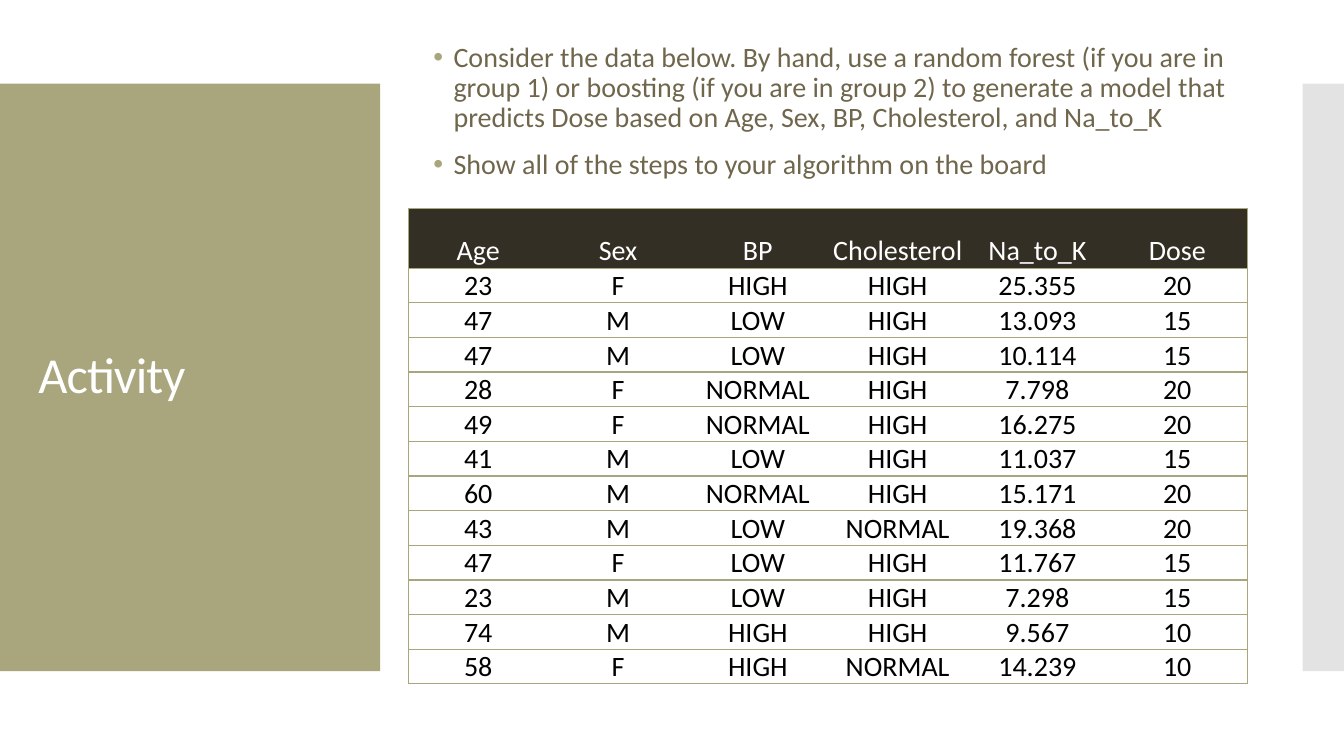
import pptx
import pptx.dml.color
import pptx.enum.shapes
import pptx.enum.text
import pptx.oxml.ns
import pptx.util
from lxml import etree

Inches = pptx.util.Inches
Pt = pptx.util.Pt
RGBColor = pptx.dml.color.RGBColor
qn = pptx.oxml.ns.qn

OLIVE = RGBColor(0xA9, 0xA5, 0x7C)
BROWN = RGBColor(0x6F, 0x66, 0x4C)
DARK = RGBColor(0x34, 0x2F, 0x24)
GRAY = RGBColor(0xC8, 0xC8, 0xC8)
WHITE = RGBColor(0xFF, 0xFF, 0xFF)
BLACK = RGBColor(0x00, 0x00, 0x00)

INSTRUCTIONS = [
    "Consider the data below. By hand, use a random forest (if you are in group 1) "
    "or boosting (if you are in group 2) to generate a model that predicts Dose "
    "based on Age, Sex, BP, Cholesterol, and Na_to_K",
    "Show all of the steps to your algorithm on the board",
]

PATIENTS = [
    ("Age", "Sex", "BP", "Cholesterol", "Na_to_K", "Dose"),
    ("23", "F", "HIGH", "HIGH", "25.355", "20"),
    ("47", "M", "LOW", "HIGH", "13.093", "15"),
    ("47", "M", "LOW", "HIGH", "10.114", "15"),
    ("28", "F", "NORMAL", "HIGH", "7.798", "20"),
    ("49", "F", "NORMAL", "HIGH", "16.275", "20"),
    ("41", "M", "LOW", "HIGH", "11.037", "15"),
    ("60", "M", "NORMAL", "HIGH", "15.171", "20"),
    ("43", "M", "LOW", "NORMAL", "19.368", "20"),
    ("47", "F", "LOW", "HIGH", "11.767", "15"),
    ("23", "M", "LOW", "HIGH", "7.298", "15"),
    ("74", "M", "HIGH", "HIGH", "9.567", "10"),
    ("58", "F", "HIGH", "NORMAL", "14.239", "10"),
]


class SlideBuilder:
    """Holds the text style and the current slide."""

    font_name = "Calibri"
    body_size = Pt(20)
    line_spacing = 0.9

    def __init__(self, slide):
        self.slide = slide

    def style(self, paragraph, size, color):
        paragraph.font.name = self.font_name
        paragraph.font.size = size
        paragraph.font.color.rgb = color

    def panel(self, left, top, width, height, color, opacity=100):
        """Add a plain rectangle behind the title."""
        shape = self.slide.shapes.add_shape(
            pptx.enum.shapes.MSO_SHAPE.RECTANGLE,
            Inches(left), Inches(top), Inches(width), Inches(height))
        shape.shadow.inherit = False
        shape.fill.solid()
        shape.fill.fore_color.rgb = color
        shape.line.fill.background()
        if opacity < 100:
            fill_color = shape.element.spPr.find(qn("a:solidFill"))[0]
            etree.SubElement(fill_color, qn("a:alpha"), val=str(opacity * 1000))
        self.slide.shapes.title.element.addprevious(shape.element)

    def title(self, text, left, top, width, height):
        title = self.slide.shapes.title
        title.left, title.top = Inches(left), Inches(top)
        title.width, title.height = Inches(width), Inches(height)
        title.text_frame.text = text
        title.text_frame.vertical_anchor = pptx.enum.text.MSO_ANCHOR.MIDDLE
        paragraph = title.text_frame.paragraphs[0]
        paragraph.alignment = pptx.enum.text.PP_ALIGN.LEFT
        paragraph.line_spacing = self.line_spacing
        self.style(paragraph, Pt(36), WHITE)
        paragraph.runs[0].font._element.set("spc", "-60")

    def bullets(self, items, left, top, width, height):
        box = self.slide.shapes.add_textbox(
            Inches(left), Inches(top), Inches(width), Inches(height))
        frame = box.text_frame
        frame.word_wrap = True
        for index, item in enumerate(items):
            paragraph = frame.add_paragraph() if index else frame.paragraphs[0]
            paragraph.text = item
            paragraph.line_spacing = self.line_spacing
            paragraph.space_before = Pt(12 if index else 0)
            properties = paragraph._p.get_or_add_pPr()
            properties.set("marL", str(Inches(0.2)))
            properties.set("indent", str(-Inches(0.2)))
            bullet_color = etree.SubElement(properties, qn("a:buClr"))
            etree.SubElement(bullet_color, qn("a:srgbClr"), val=str(OLIVE))
            etree.SubElement(properties, qn("a:buFont"), typeface="Arial")
            etree.SubElement(properties, qn("a:buChar"), char="•")
            self.style(paragraph, self.body_size, BROWN)

    def border(self, cell, side, visible):
        line = etree.SubElement(cell._tc.get_or_add_tcPr(), qn("a:ln" + side),
                                w=str(Pt(1)))
        if visible:
            fill = etree.SubElement(line, qn("a:solidFill"))
            etree.SubElement(fill, qn("a:srgbClr"), val=str(OLIVE))
        else:
            etree.SubElement(line, qn("a:noFill"))

    def table(self, rows, left, top, width, header_height, row_height):
        column_count = len(rows[0])
        height = header_height + row_height * (len(rows) - 1)
        table = self.slide.shapes.add_table(
            len(rows), column_count,
            Inches(left), Inches(top), Inches(width), Inches(height)).table
        table.first_row = False
        table.horz_banding = False
        for row_index, values in enumerate(rows):
            is_header = row_index == 0
            table.rows[row_index].height = Inches(
                header_height if is_header else row_height)
            for column_index, value in enumerate(values):
                cell = table.cell(row_index, column_index)
                cell.text = value
                cell.vertical_anchor = pptx.enum.text.MSO_ANCHOR.BOTTOM
                cell.margin_left = cell.margin_right = cell.margin_top = Inches(0.01)
                cell.margin_bottom = 0
                # Horizontal rules and an outer frame, no inner verticals
                self.border(cell, "L", column_index == 0)
                self.border(cell, "R", column_index == column_count - 1)
                self.border(cell, "T", True)
                self.border(cell, "B", True)
                cell.fill.solid()
                cell.fill.fore_color.rgb = DARK if is_header else WHITE
                paragraph = cell.text_frame.paragraphs[0]
                paragraph.alignment = pptx.enum.text.PP_ALIGN.CENTER
                self.style(paragraph, self.body_size, WHITE if is_header else BLACK)


def main():
    presentation = pptx.Presentation()
    presentation.slide_width = Inches(13.33)
    presentation.slide_height = Inches(7.5)
    title_only = presentation.slide_layouts[5]
    builder = SlideBuilder(presentation.slides.add_slide(title_only))

    # Side panels
    builder.panel(0, 0.83, 3.77, 5.83, OLIVE)
    builder.panel(12.92, 0.83, 0.41, 5.83, GRAY, opacity=50)

    # Title and instructions
    builder.title("Activity", 0.28, 1.23, 3.22, 5.03)
    builder.bullets(INSTRUCTIONS, 4.2, 0.38, 8.32, 1.6)

    # Patient data
    builder.table(PATIENTS, 4.05, 2.07, 8.32, header_height=0.59, row_height=0.3)

    presentation.save("out.pptx")


if __name__ == "__main__":
    main()
